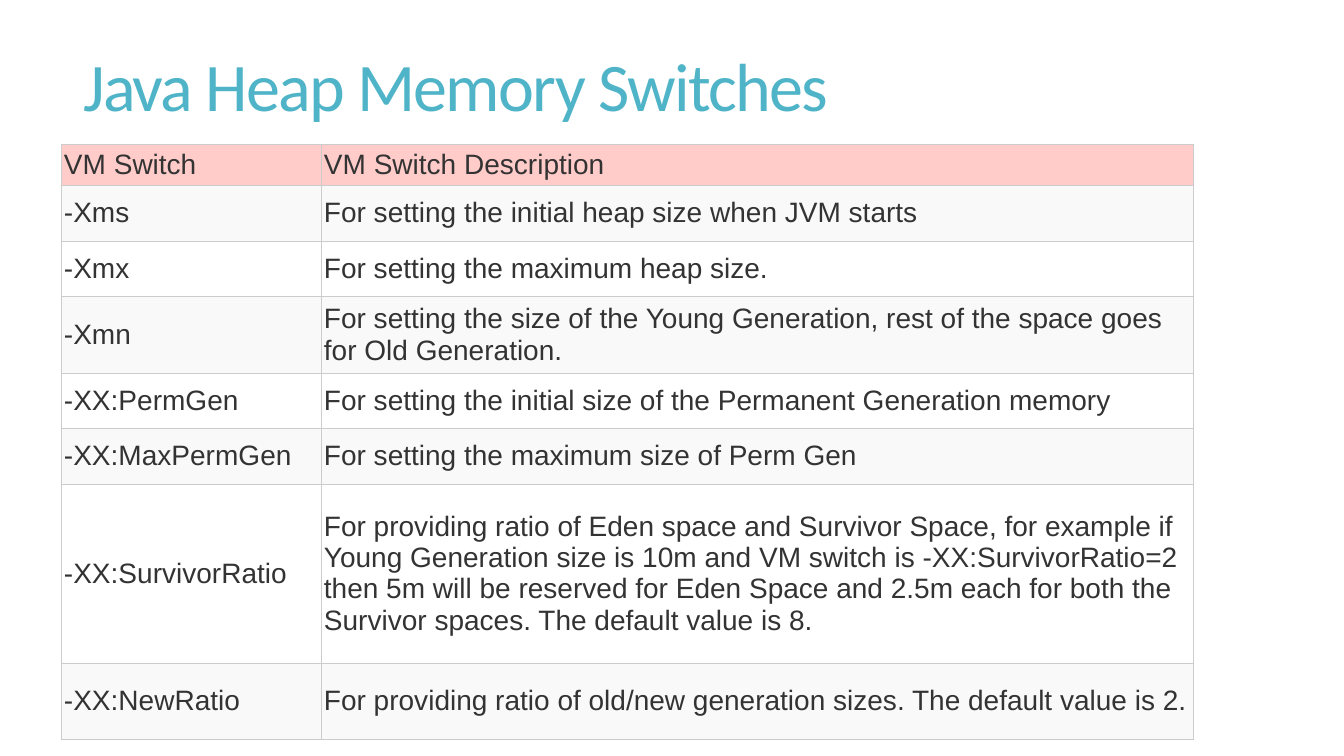
from lxml import etree
from pptx import Presentation
from pptx.dml.color import RGBColor
from pptx.enum.text import MSO_ANCHOR, MSO_AUTO_SIZE, PP_ALIGN
from pptx.oxml.ns import qn
from pptx.util import Pt

MIDDLE = MSO_ANCHOR.MIDDLE
LEFT = PP_ALIGN.LEFT
NO_AUTOFIT = MSO_AUTO_SIZE.NONE

TITLE = "Java Heap Memory Switches"
SWITCHES = [
    ("VM Switch", "VM Switch Description"),
    ("-Xms", "For setting the initial heap size when JVM starts"),
    ("-Xmx", "For setting the maximum heap size."),
    ("-Xmn", "For setting the size of the Young Generation, rest of the space "
             "goes for Old Generation."),
    ("-XX:PermGen", "For setting the initial size of the Permanent Generation memory"),
    ("-XX:MaxPermGen", "For setting the maximum size of Perm Gen"),
    ("-XX:SurvivorRatio",
     "For providing ratio of Eden space and Survivor Space, for example if Young "
     "Generation size is 10m and VM switch is -XX:SurvivorRatio=2 then 5m will be "
     "reserved for Eden Space and 2.5m each for both the Survivor spaces. "
     "The default value is 8."),
    ("-XX:NewRatio",
     "For providing ratio of old/new generation sizes. The default value is 2."),
]

COLORS = {"title": "50B4C8", "text": "333333", "border": "CCCCCC",
          "header": "FFCCC9", "odd": "F9F9F9", "even": "FFFFFF"}

PX = 914400 / 100.8
SLIDE_SIZE = (1344, 756)
TITLE_BOX = (73, 55, 1187, 78)
TABLE_LEFT, TABLE_TOP = 61, 144
COLUMN_WIDTHS = [260, 873]
ROW_HEIGHTS = [35, 56, 55, 77, 55, 56, 179, 76]

TITLE_FRAME = {"vertical_anchor": MIDDLE, "word_wrap": True, "auto_size": NO_AUTOFIT,
               "margin_top": 0, "margin_bottom": round(6 * PX)}
TITLE_FONT = {"name": "Calibri", "size": Pt(48.6), "bold": False}
CELL_FORMAT = {"vertical_anchor": MIDDLE,
               "margin_left": round(3 * PX), "margin_right": round(3 * PX),
               "margin_top": round(5 * PX), "margin_bottom": round(5 * PX)}
CELL_FONT = {"name": "Arial", "size": Pt(20), "bold": False}


def emu(*lengths):
    return [round(length * PX) for length in lengths]


def apply(target, values):
    for name, value in values.items():
        setattr(target, name, value)


def rgb(role):
    return RGBColor.from_string(COLORS[role])


def add_borders(cell):
    properties = cell._tc.get_or_add_tcPr()
    for side in ("a:lnL", "a:lnR", "a:lnT", "a:lnB"):
        line = etree.SubElement(properties, qn(side), w=str(Pt(0.75)))
        fill = etree.SubElement(line, qn("a:solidFill"))
        etree.SubElement(fill, qn("a:srgbClr"), val=COLORS["border"])


def add_title(slide):
    title = slide.shapes.title
    apply(title, dict(zip(("left", "top", "width", "height"), emu(*TITLE_BOX))))
    frame = title.text_frame
    apply(frame, TITLE_FRAME)
    paragraph = frame.paragraphs[0]
    apply(paragraph, {"alignment": LEFT, "line_spacing": 0.85})
    heading = paragraph.add_run()
    heading.text = TITLE
    apply(heading.font, TITLE_FONT)
    heading.font.color.rgb = rgb("title")
    heading.font._element.set("spc", "-120")


def fill_cell(cell, text, background):
    apply(cell, CELL_FORMAT)
    add_borders(cell)
    cell.fill.solid()
    cell.fill.fore_color.rgb = rgb(background)
    content = cell.text_frame.paragraphs[0].add_run()
    content.text = text
    apply(content.font, CELL_FONT)
    content.font.color.rgb = rgb("text")


def add_switch_table(slide):
    bounds = emu(TABLE_LEFT, TABLE_TOP, sum(COLUMN_WIDTHS), sum(ROW_HEIGHTS))
    table = slide.shapes.add_table(len(SWITCHES), len(COLUMN_WIDTHS), *bounds).table
    for column, width in zip(table.columns, emu(*COLUMN_WIDTHS)):
        column.width = width
    for row, height in zip(table.rows, emu(*ROW_HEIGHTS)):
        row.height = height
    for index, switch in enumerate(SWITCHES):
        background = "header" if index == 0 else ("even", "odd")[index % 2]
        for column, text in enumerate(switch):
            fill_cell(table.cell(index, column), text, background)


def main():
    deck = Presentation()
    deck.slide_width, deck.slide_height = emu(*SLIDE_SIZE)
    slide = deck.slides.add_slide(deck.slide_layouts[5])
    add_title(slide)
    add_switch_table(slide)
    deck.save("out.pptx")


if __name__ == "__main__":
    main()
